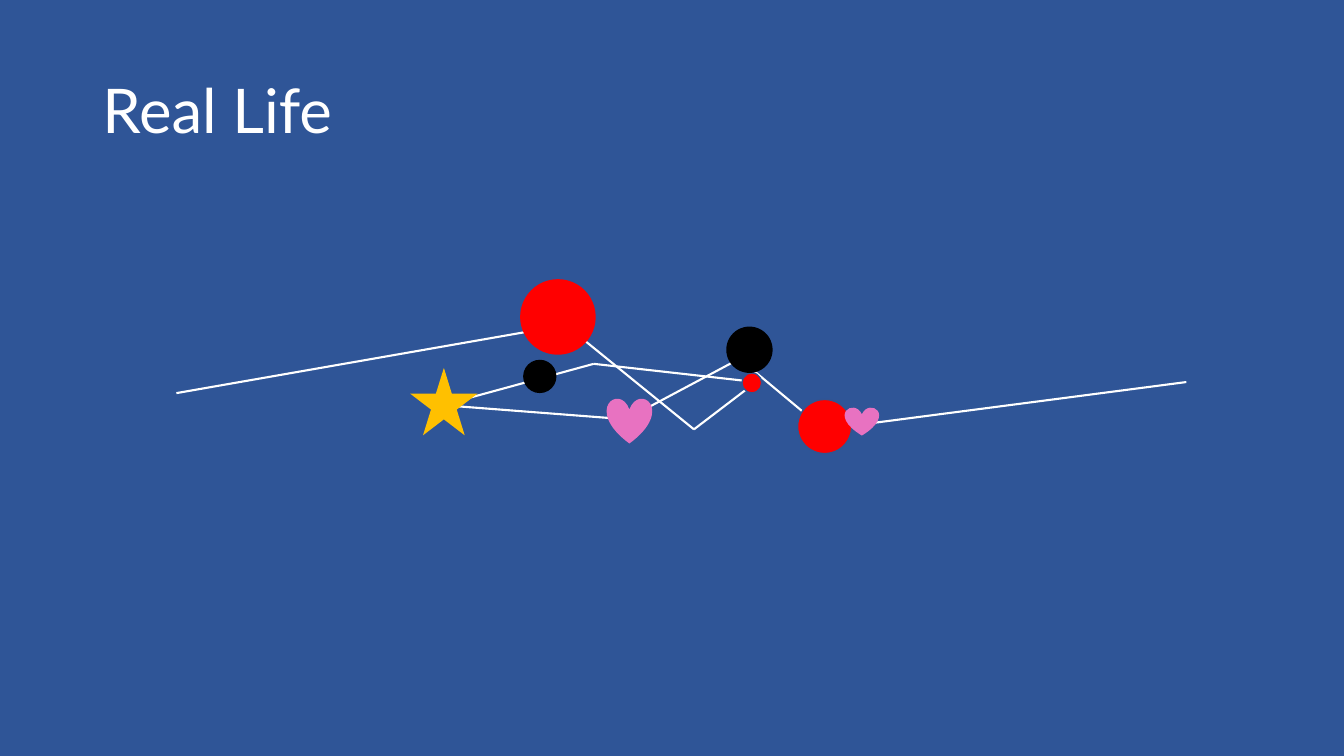
from itertools import pairwise

from lxml import etree
from pptx import Presentation
from pptx.dml.color import RGBColor
from pptx.enum import shapes, text
from pptx.oxml import ns
from pptx.util import Pt

NAVY = RGBColor(0x2F, 0x55, 0x97)
EDGE = RGBColor(0x32, 0x54, 0x91)
WHITE = RGBColor(255, 255, 255)
BLACK = RGBColor(0, 0, 0)
RED = RGBColor(255, 0, 0)
GOLD = RGBColor(0xFF, 0xC0, 0)
PINK = RGBColor(0xE8, 0x72, 0xC1)

DOT = shapes.MSO_SHAPE.OVAL
STAR = shapes.MSO_SHAPE.STAR_5_POINT
HEART = shapes.MSO_SHAPE.HEART

# Turning points of the path, in points
ROUTE = [(126, 280.8), (404, 232.2), (495.7, 306.7), (540, 272.9),
         (424.1, 259.9), (316.1, 289.4), (447.1, 299.5),
         (528.2, 256.3), (588.6, 306.7), (847.4, 272.9)]

# Kind, left, top, width, height, fill, outline
MARKS = [
    (DOT, 569.7, 285.3, 38.7, 38.7, RED, EDGE),
    (DOT, 529.9, 266.4, 14.2, 14.2, RED, EDGE),
    (DOT, 371.5, 199.4, 54, 54, RED, None),
    (STAR, 293, 262.8, 48.2, 48.2, GOLD, None),
    (HEART, 433.4, 284.4, 32.4, 32.4, PINK, None),
    (HEART, 603.4, 290.9, 24.5, 20.2, PINK, None),
    (DOT, 518.8, 233.3, 33.1, 33.1, BLACK, None),
    (DOT, 373.7, 257, 23.8, 23.8, BLACK, None),
]


class Board:
    """Holds the style and the current slide."""
    font = "Lato"
    ink = WHITE
    stroke = 1.5

    def __init__(self, deck):
        self.slide = deck.slides.add_slide(deck.slide_layouts[5])
        fill = self.slide.background.fill
        fill.solid()
        fill.fore_color.rgb = NAVY

    def title(self, words, x, y, w, h, size):
        box = self.slide.shapes.title
        box.left, box.top, box.width, box.height = map(Pt, (x, y, w, h))
        frame = box.text_frame
        frame.word_wrap = True
        frame.auto_size = text.MSO_AUTO_SIZE.NONE
        frame.vertical_anchor = text.MSO_ANCHOR.MIDDLE
        para = frame.paragraphs[0]
        para.alignment = text.PP_ALIGN.LEFT
        para.line_spacing = 0.9
        run = para.add_run()
        run.text = words
        run.font.name = self.font
        run.font.size = Pt(size)
        run.font.color.rgb = self.ink

    def line(self, start, end):
        link = self.slide.shapes.add_connector(
            shapes.MSO_CONNECTOR.STRAIGHT, *map(Pt, start + end))
        link.line.color.rgb = self.ink
        link.line.width = Pt(self.stroke)
        etree.SubElement(link._element.spPr, ns.qn("a:effectLst"))

    def mark(self, kind, x, y, w, h, fill, edge):
        shape = self.slide.shapes.add_shape(kind, *map(Pt, (x, y, w, h)))
        shape.shadow.inherit = False
        shape.fill.solid()
        shape.fill.fore_color.rgb = fill
        if edge is None:
            shape.line.fill.background()
        else:
            shape.line.color.rgb = edge
            shape.line.width = Pt(1)


def main():
    deck = Presentation()
    deck.slide_width, deck.slide_height = Pt(960), Pt(540)
    board = Board(deck)

    # Title
    board.title("Real Life", 66, 28.8, 828, 104.4, 44)

    # Winding path
    for start, end in pairwise(ROUTE):
        board.line(start, end)

    # Events along the path
    for mark in MARKS:
        board.mark(*mark)

    deck.save("out.pptx")


if __name__ == "__main__":
    main()
